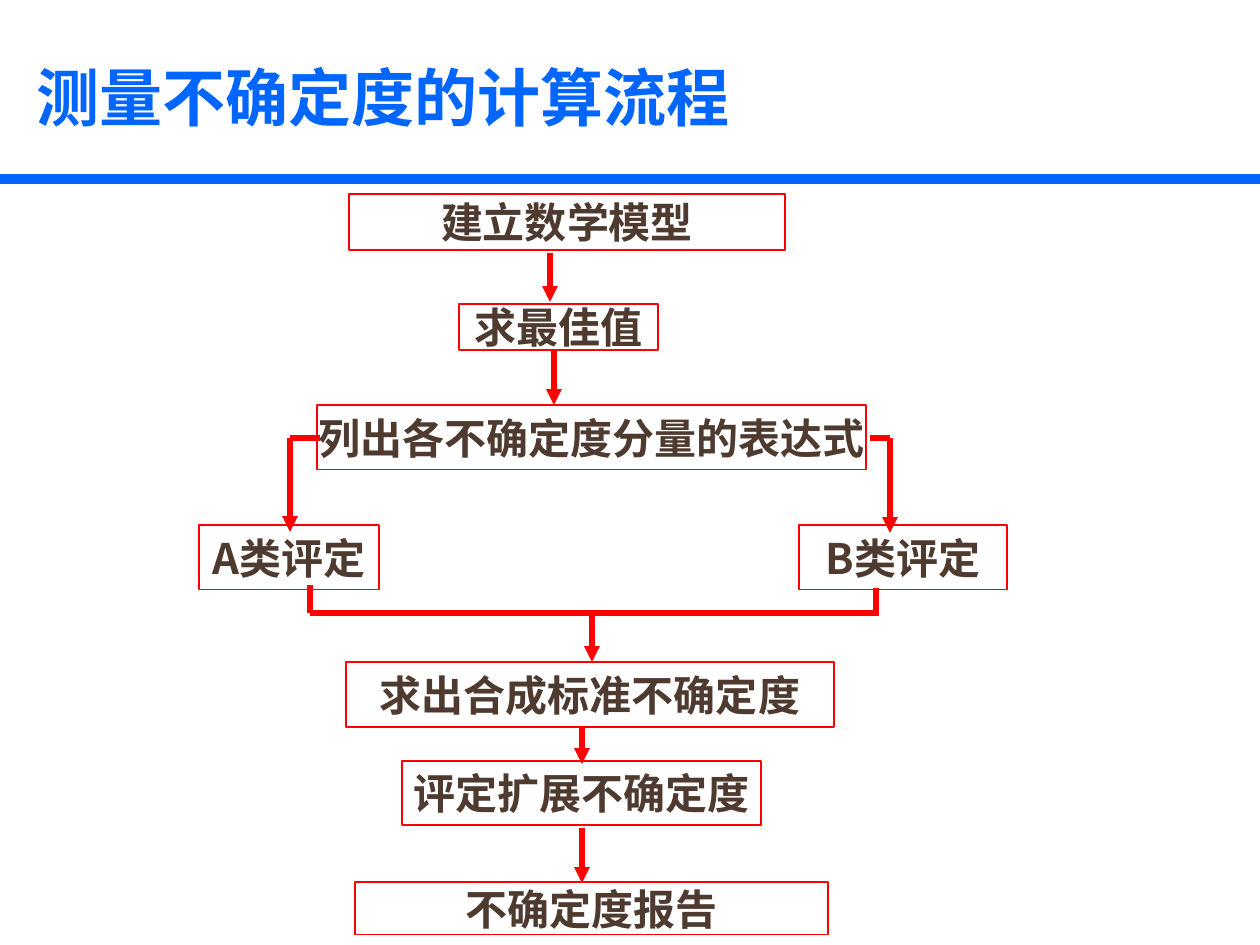
from lxml.etree import SubElement
from pptx import Presentation
from pptx.dml.color import RGBColor
from pptx.enum.shapes import MSO_CONNECTOR, MSO_SHAPE
from pptx.enum.text import MSO_ANCHOR, PP_ALIGN
from pptx.oxml.ns import qn
from pptx.util import Pt

EMU_PER_PX = 914400 / 126
SLIDE_WIDTH, SLIDE_HEIGHT = 1260, 945
FONT_NAME = "Noto Sans CJK SC"
COLORS = {"blue": "0066FF", "red": "FF0000", "brown": "4E3A2F", "white": "FFFFFF"}
FRAME_FORMAT = {
    "margin_left": 0, "margin_right": 0, "margin_top": 0, "margin_bottom": 0,
    "word_wrap": False, "vertical_anchor": MSO_ANCHOR.MIDDLE,
}
STEPS = [
    ("建立数学模型", (190, 10, 436, 56)),
    ("求最佳值", (300, 120, 199, 46)),
    ("列出各不确定度分量的表达式", (158, 221, 549, 65)),
    ("A类评定", (40, 341, 180, 65)),
    ("B类评定", (640, 341, 208, 65)),
    ("求出合成标准不确定度", (187, 478, 488, 65)),
    ("评定扩展不确定度", (243, 577, 359, 64)),
    ("不确定度报告", (196, 698, 473, 53)),
]
ARROWS = [
    (391, 69, 118), (395, 165, 221), (131, 254, 348), (731, 254, 349),
    (433, 432, 478), (423, 543, 580), (423, 644, 699),
]
BRANCH_LINES = [
    (131, 254, 161, 254), (711, 254, 731, 254),
    (151, 401, 151, 429), (717, 404, 717, 432), (151, 429, 719, 429),
]


def px(length):
    return round(length * EMU_PER_PX)


def color(name):
    return RGBColor.from_string(COLORS[name])


def apply_format(target, values):
    for attribute, value in values.items():
        setattr(target, attribute, value)


def write_text(holder, text, size, color_name, alignment):
    apply_format(holder.text_frame, FRAME_FORMAT)
    paragraph = holder.text_frame.paragraphs[0]
    paragraph.alignment = alignment
    run = paragraph.add_run()
    run.text = text
    apply_format(run.font, {"name": FONT_NAME, "size": Pt(size), "bold": True})
    run.font.color.rgb = color(color_name)
    SubElement(run.font._element, qn("a:ea"), typeface=FONT_NAME)


def draw_line(slide, start, end, color_name, weight, arrow=False):
    line = slide.shapes.add_connector(
        MSO_CONNECTOR.STRAIGHT, *(px(value) for value in (*start, *end)))
    line.line.color.rgb = color(color_name)
    line.line.width = Pt(weight)
    if arrow:
        SubElement(line.line._get_or_add_ln(), qn("a:tailEnd"),
                   type="triangle", w="med", len="med")
    SubElement(line._element.spPr, qn("a:effectLst"))


def draw_step(slide, text, left, top, width, height):
    step = slide.shapes.add_shape(
        MSO_SHAPE.RECTANGLE, *(px(value) for value in (left, top, width, height)))
    step.shadow.inherit = False
    step.fill.solid()
    step.fill.fore_color.rgb = color("white")
    step.line.color.rgb = color("red")
    step.line.width = Pt(0.72)
    write_text(step, text, 24, "brown", PP_ALIGN.CENTER)


def draw_header(slide, left, top, width, height):
    draw_line(slide, (left, top + height), (left + width, top + height), "blue", 6)
    title = slide.shapes.add_textbox(px(left + 36), px(top + 57), px(699), px(79))
    write_text(title, "测量不确定度的计算流程", 36, "blue", PP_ALIGN.LEFT)


def draw_flow(slide, left, top):
    for text, (x, y, width, height) in STEPS:
        draw_step(slide, text, left + x, top + y, width, height)
    for x, start, end in ARROWS:
        draw_line(slide, (left + x, top + start), (left + x, top + end), "red", 3, True)
    for x1, y1, x2, y2 in BRANCH_LINES:
        draw_line(slide, (left + x1, top + y1), (left + x2, top + y2), "red", 3)


def main():
    presentation = Presentation()
    presentation.slide_width = px(SLIDE_WIDTH)
    presentation.slide_height = px(SLIDE_HEIGHT)
    slide = presentation.slides.add_slide(presentation.slide_layouts[6])
    draw_header(slide, 0, 0, SLIDE_WIDTH, 179)
    draw_flow(slide, 159, 184)
    presentation.save("out.pptx")


if __name__ == "__main__":
    main()
